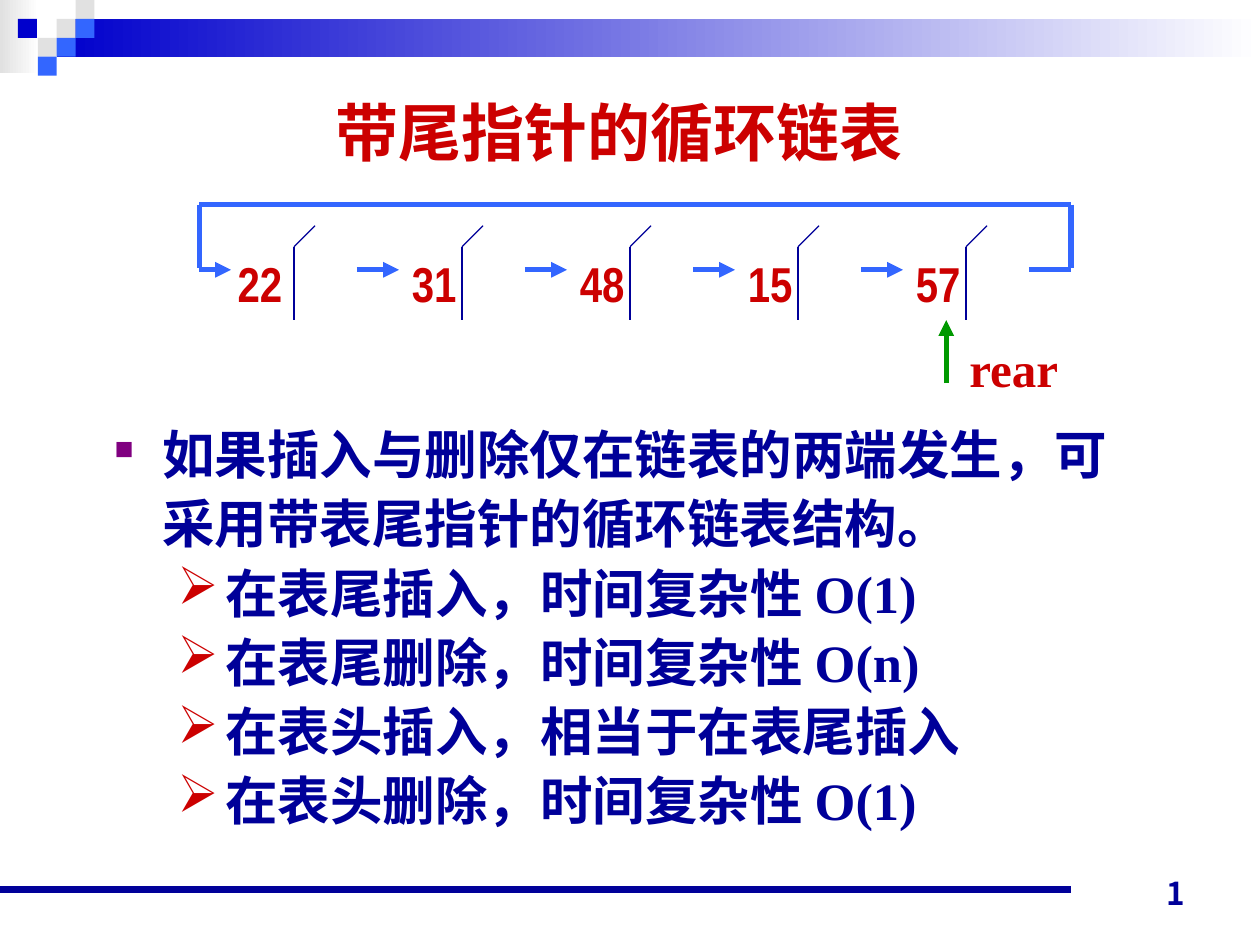
"""Build a slide on circular linked lists with a tail pointer."""
from dataclasses import dataclass
from typing import Optional

from lxml import etree
from pptx import Presentation
from pptx import util as u
from pptx.dml.color import RGBColor
from pptx.enum import shapes, text
from pptx.oxml.ns import qn

COLORS = {
    "navy": "000099", "blue": "0000CC", "sky": "3366FF", "gray": "E1E1E1",
    "white": "FFFFFF", "red": "CC0000", "green": "009900", "purple": "800080",
}
COLS, ROWS = 60, 45
TILE = 0.9
SERIF, NARROW, SANS = "Times New Roman", "Arial Narrow", "Noto Sans CJK JP"
LEFT, CENTER, RIGHT = text.PP_ALIGN.LEFT, text.PP_ALIGN.CENTER, text.PP_ALIGN.RIGHT

prs = Presentation()
prs.slide_width, prs.slide_height = u.Inches(10), u.Inches(7.5)


@dataclass
class Bar:
    col: float
    row: float
    width: float
    height: float
    color: str
    fade: bool = False


@dataclass
class Line:
    x1: float
    y1: float
    x2: float
    y2: float
    color: str = "sky"
    weight: float = 3
    arrow: bool = False


@dataclass
class Label:
    words: str
    col: float
    row: float
    width: float
    height: float
    size: int
    font: str = SERIF
    color: str = "red"
    align: int = CENTER
    anchor: int = text.MSO_ANCHOR.MIDDLE
    wrap: bool = True


@dataclass
class Bullet:
    char: str
    color: str
    indent: float
    level: int = 0
    percent: Optional[int] = None


def x(col: float) -> int:
    return round(prs.slide_width * col / COLS)


def y(row: float) -> int:
    return round(prs.slide_height * row / ROWS)


def rgb(name: str) -> RGBColor:
    return RGBColor.from_string(COLORS[name])


def draw_bar(s, bar: Bar) -> None:
    sp = s.shapes.add_shape(shapes.MSO_SHAPE.RECTANGLE, x(bar.col), y(bar.row),
                            x(bar.width), y(bar.height))
    sp.shadow.inherit = False
    sp.line.fill.background()
    if bar.fade:
        sp.fill.gradient()
        sp.fill.gradient_angle = 0
        for stop, color, place in zip(sp.fill.gradient_stops, (bar.color, "white"), (0, 1)):
            stop.color.rgb, stop.position = rgb(color), place
    else:
        sp.fill.solid()
        sp.fill.fore_color.rgb = rgb(bar.color)


def draw_line(s, line: Line) -> None:
    sp = s.shapes.add_connector(shapes.MSO_CONNECTOR.STRAIGHT, x(line.x1), y(line.y1),
                                x(line.x2), y(line.y2))
    sp.line.color.rgb, sp.line.width = rgb(line.color), u.Pt(line.weight)
    if line.arrow:
        etree.SubElement(sp.line._get_or_add_ln(), qn("a:tailEnd"), type="triangle")
    etree.SubElement(sp._element.spPr, qn("a:effectLst"))


def draw_label(s, label: Label):
    sp = s.shapes.add_textbox(x(label.col), y(label.row), x(label.width), y(label.height))
    tf = sp.text_frame
    tf.text, tf.word_wrap, tf.vertical_anchor = label.words, label.wrap, label.anchor
    for p in tf.paragraphs:
        p.alignment = label.align
        for r in p.runs:
            r.font.name, r.font.size, r.font.bold = label.font, u.Pt(label.size), True
            r.font.color.rgb = rgb(label.color)
            etree.SubElement(r.font._element, qn("a:ea"), typeface=SANS)
    return tf


def add_bullet(p, bullet: Bullet) -> None:
    p.level, p.line_spacing = bullet.level, 1.1
    pr = p._p.get_or_add_pPr()
    pr.set("marL", str(u.Inches(bullet.indent)))
    pr.set("indent", str(-u.Inches(0.38)))
    color = etree.SubElement(pr, qn("a:buClr"))
    etree.SubElement(color, qn("a:srgbClr"), val=COLORS[bullet.color])
    if bullet.percent:
        etree.SubElement(pr, qn("a:buSzPct"), val=str(bullet.percent * 1000))
    etree.SubElement(pr, qn("a:buChar"), char=bullet.char)


def draw_frame(s) -> None:
    draw_bar(s, Bar(0, 0, 1.86, 3.48, "gray", True))
    draw_bar(s, Bar(3 * TILE, TILE, COLS - 3 * TILE, 2 * TILE, "blue", True))
    tiles = [(3, 1, "gray"), (4, 0, "gray"), (4, 1, "sky"), (2, 2, "gray"),
             (0.95, 1, "blue"), (3, 2, "sky"), (2, 3, "sky")]
    for col, row, color in tiles:
        draw_bar(s, Bar(col * TILE, row * TILE, TILE, TILE, color))
    draw_line(s, Line(0, 42.36, 51, 42.36, "navy", 4.5))
    draw_label(s, Label("1", 43, 40.7, 14, 3, 18, SANS, "navy", RIGHT,
                        text.MSO_ANCHOR.BOTTOM))


def draw_list(s) -> None:
    first, pitch, middle, top, fold, bottom = 14, 8, 12.85, 9.75, 11.75, 15.25
    start, end = 9.5, 51
    values = ["22", "31", "48", "15", "57"]
    for i, value in enumerate(values):
        col = first + i * pitch
        draw_line(s, Line(col, fold, col, bottom, "navy", 0.75))
        draw_line(s, Line(col, fold, col + 1, fold - 1, "navy", 0.75))
        if i < len(values) - 1:
            draw_line(s, Line(col + 3, middle, col + 5, middle, arrow=True))
        left = col - 3 if i else col - 3.3
        draw_label(s, Label(value, left, fold, 3.36, 3.42, 28, NARROW, wrap=False))
    draw_line(s, Line(start, middle, 11, middle, arrow=True))
    draw_line(s, Line(end, top, start, top))
    for col in (start, end):
        draw_line(s, Line(col, top, col, middle - 0.1))
    draw_line(s, Line(end - 2, middle, end, middle))
    draw_line(s, Line(45.06, bottom + 3, 45.06, bottom, "green", arrow=True))
    draw_label(s, Label("rear", 45.54, 15.8, 5.46, 3.42, 28, wrap=False))


def draw_body(s) -> None:
    lines = ["如果插入与删除仅在链表的两端发生，可采用带表尾指针的循环链表结构。",
             "在表尾插入，时间复杂性 O(1)", "在表尾删除，时间复杂性 O(n)",
             "在表头插入，相当于在表尾插入", "在表头删除，时间复杂性 O(1)"]
    tf = draw_label(s, Label("\n".join(lines), 4.86, 19.5, 50.88, 20.4, 30, SERIF,
                             "navy", LEFT, text.MSO_ANCHOR.TOP))
    main, sub = Bullet("■", "purple", 0.38, percent=50), Bullet("➢", "red", 0.88, 1)
    for i, p in enumerate(tf.paragraphs):
        add_bullet(p, sub if i else main)


def main() -> None:
    s = prs.slides.add_slide(prs.slide_layouts[6])
    draw_frame(s)
    draw_label(s, Label("带尾指针的循环链表", 4, 3.4, 51, 5.7, 36))
    draw_list(s)
    draw_body(s)
    prs.save("out.pptx")


if __name__ == "__main__":
    main()
